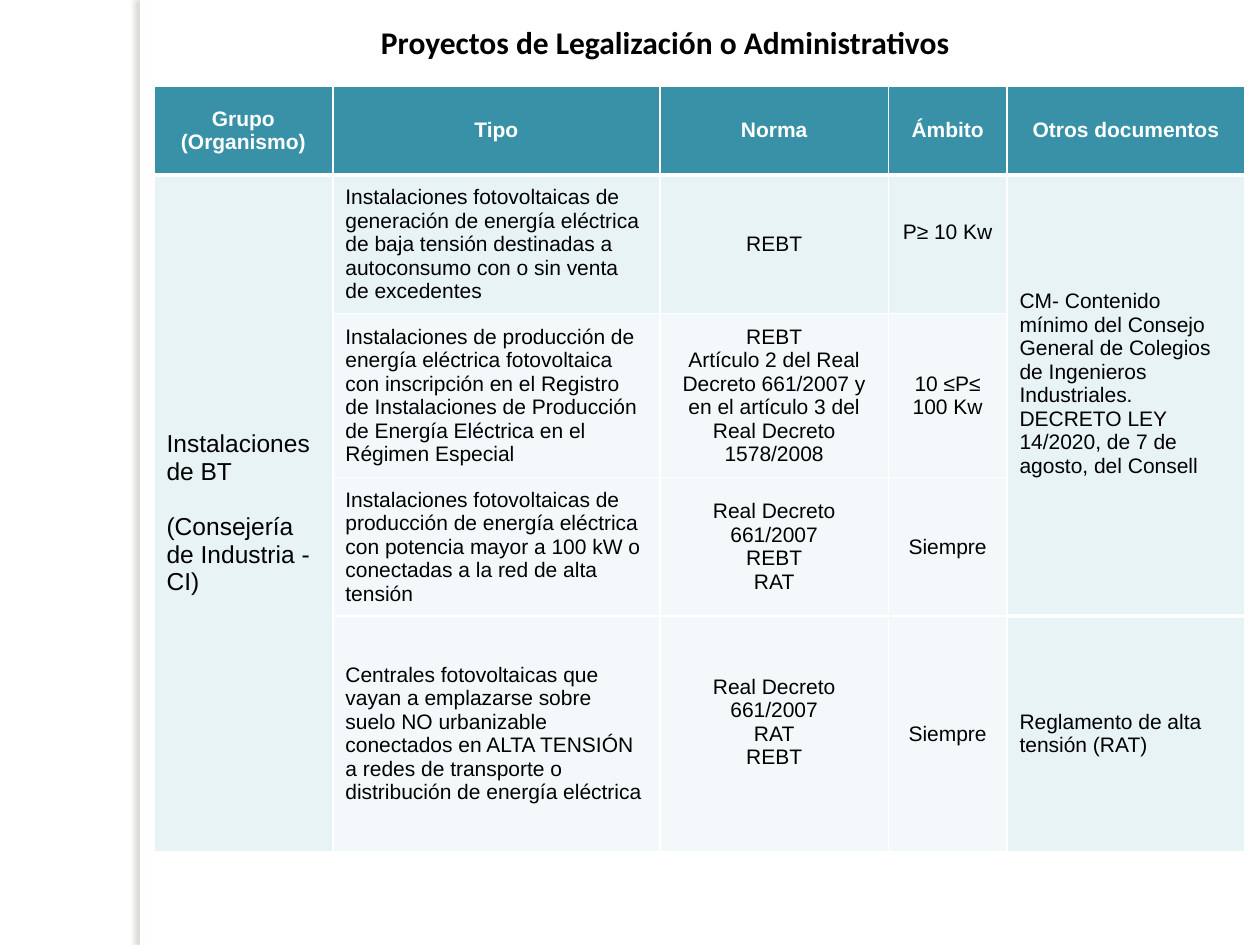
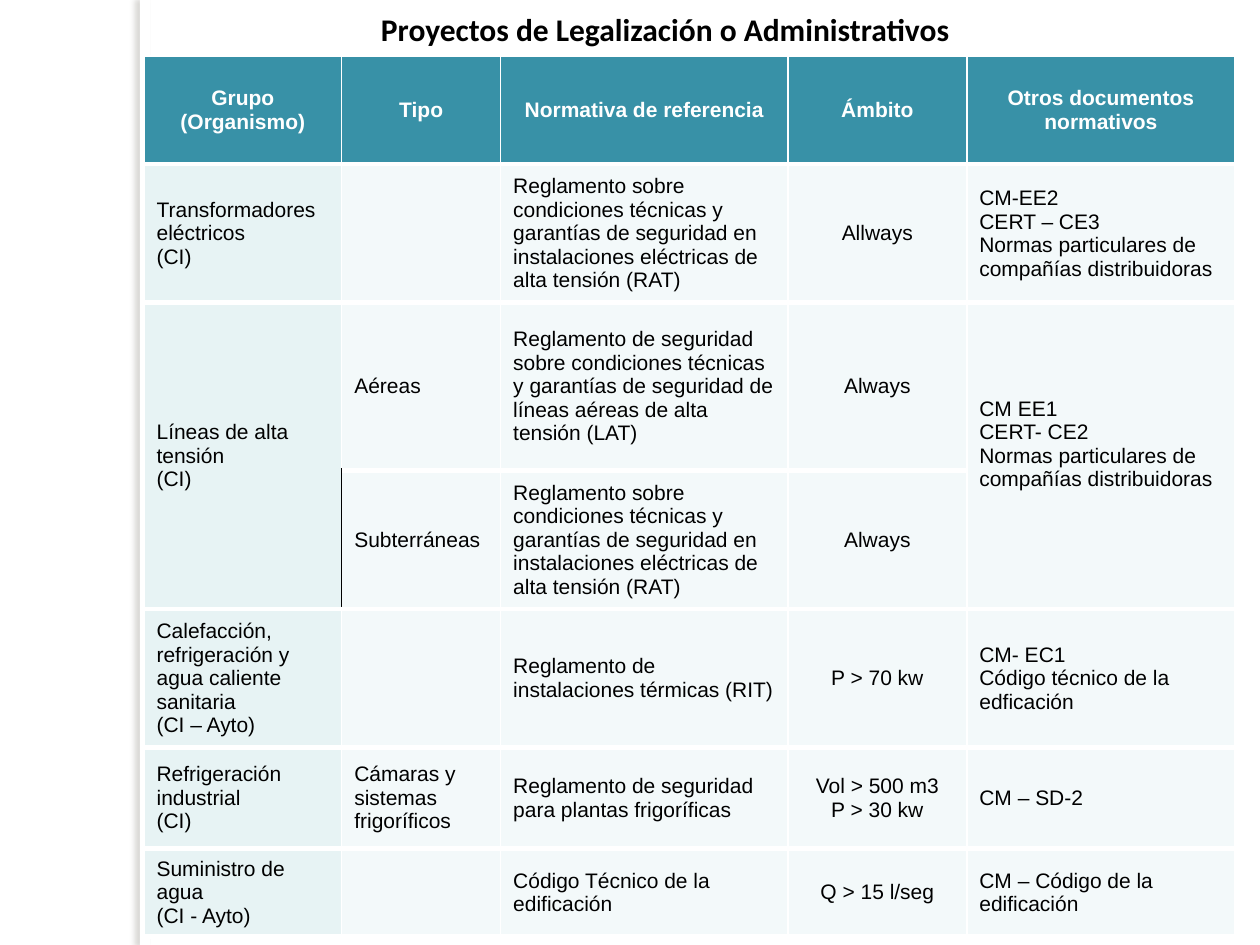
"""Builds two slides with tables of legalisation projects and their regulations."""
from lxml import etree
from pptx import Presentation
from pptx.dml.color import RGBColor
from pptx.enum.shapes import MSO_SHAPE as Shape
from pptx.enum.text import MSO_ANCHOR as Anchor, PP_ALIGN as Align
from pptx.oxml import parse_xml
from pptx.oxml.ns import nsdecls, qn
from pptx.util import Pt

WHITE, BLACK = "FFFFFF", "000000"
TEAL, TINT, PALE = "3891A7", "E7F3F4", "F3F9FA"
SHADE = "706B5F"
TITLE = "Proyectos de Legalización o Administrativos"
SHADOW = (
    f'<a:effectLst {nsdecls("a")}><a:outerShdw blurRad="{Pt(3)}" dist="{Pt(3)}" dir="10800000" '
    f'algn="tl" rotWithShape="0"><a:srgbClr val="{SHADE}"><a:alpha val="25000"/></a:srgbClr>'
    "</a:outerShdw></a:effectLst>"
)


def color(code):
    return RGBColor.from_string(code)


def write(frame, text, size=12, font="Arial", code=BLACK, bold=False, align=Align.LEFT, gap=0):
    frame.word_wrap = True
    for index, line in enumerate(text.split("\n")):
        paragraph = frame.paragraphs[0] if index == 0 else frame.add_paragraph()
        paragraph.alignment = align
        if index and gap:
            paragraph.space_before = Pt(gap)
        paragraph.font.size = Pt(size)
        run = paragraph.add_run()
        run.text = line
        run.font.name, run.font.size, run.font.bold = font, Pt(size), bold
        run.font.color.rgb = color(code)


legalization = {
    "title_top": 9.4,
    "left": 88,
    "top": 49,
    "columns": [102.2, 187, 130.5, 67.8, 136],
    "heights": [51, 79.2, 93.6, 79.2, 134.6],
    "merges": [(0, 1, 4), (4, 1, 3)],
    "centred": {2, 3},
    "tinted_rows": {1},
    "tinted_columns": {0, 4},
    "thick_edges": {(1, column) for column in range(5)} | {(4, 4)},
    "dark_edges": {},
    "raised": {(1, 3), (1, 4), (4, 2)},
    "large": {(1, 0)},
    "rows": [
        ["Grupo\n(Organismo)", "Tipo", "Norma", "Ámbito", "Otros documentos"],
        [
            "Instalaciones de BT\n(Consejería de Industria - CI)",
            "Instalaciones fotovoltaicas de generación de energía eléctrica de baja tensión "
            "destinadas a autoconsumo con o sin venta de excedentes",
            "REBT",
            "P≥ 10 Kw",
            "CM- Contenido mínimo del Consejo General de Colegios de Ingenieros Industriales.\n"
            "DECRETO LEY 14/2020, de 7 de agosto, del Consell",
        ],
        [
            "",
            "Instalaciones de producción de energía eléctrica fotovoltaica con inscripción en el "
            "Registro de Instalaciones de Producción de Energía Eléctrica en el Régimen Especial",
            "REBT\nArtículo 2 del Real Decreto 661/2007 y en el artículo 3 del "
            "Real Decreto 1578/2008",
            "10 ≤P≤ 100 Kw",
            "",
        ],
        [
            "",
            "Instalaciones fotovoltaicas de producción de energía eléctrica con potencia mayor "
            "a 100 kW o conectadas a la red de alta tensión",
            "Real Decreto 661/2007\nREBT\nRAT",
            "Siempre",
            "",
        ],
        [
            "",
            "Centrales fotovoltaicas que vayan a emplazarse sobre suelo NO urbanizable conectados "
            "en ALTA TENSIÓN a redes de transporte o distribución de energía eléctrica",
            "Real Decreto 661/2007\nRAT\nREBT",
            "Siempre",
            "Reglamento de alta tensión (RAT)",
        ],
    ],
}

RAT = (
    "Reglamento sobre condiciones técnicas y garantías de seguridad en instalaciones "
    "eléctricas de alta tensión (RAT)"
)
UTILITY_RULES = "Normas particulares de compañías distribuidoras"

installations = {
    "title_top": 2.2,
    "left": 82.3,
    "top": 31.9,
    "columns": [113, 90.8, 164.2, 102.2, 153.4],
    "heights": [61.9, 79.2, 95.8, 79.2, 79.2, 57.6, 50.4],
    "merges": [(0, 2, 3), (4, 2, 3)],
    "centred": {3},
    "tinted_rows": set(),
    "tinted_columns": {0},
    "thick_edges": {(row, column) for row in range(1, 8) for column in range(5)},
    "dark_edges": {(3, 0, "lnR"), (3, 1, "lnL")},
    "raised": {(2, 4)},
    "large": set(),
    "rows": [
        ["Grupo (Organismo)", "Tipo", "Normativa de referencia", "Ámbito",
         "Otros documentos normativos"],
        ["Transformadores eléctricos\n(CI)", "", RAT, "Allways",
         f"CM-EE2\nCERT – CE3\n{UTILITY_RULES}"],
        [
            "Líneas de alta tensión\n(CI)",
            "Aéreas",
            "Reglamento de seguridad sobre condiciones técnicas y garantías de seguridad de "
            "líneas aéreas de alta tensión (LAT)",
            "Always",
            f"CM EE1\nCERT- CE2\n{UTILITY_RULES}",
        ],
        ["", "Subterráneas", RAT, "Always", ""],
        ["Calefacción, refrigeración y agua caliente sanitaria\n(CI – Ayto)", "",
         "Reglamento de instalaciones térmicas (RIT)", "P > 70 kw",
         "CM- EC1\nCódigo técnico de la edficación"],
        ["Refrigeración industrial\n(CI)", "Cámaras y sistemas frigoríficos",
         "Reglamento de seguridad para plantas frigoríficas", "Vol > 500 m3\nP > 30 kw",
         "CM – SD-2"],
        ["Suministro de agua\n(CI - Ayto)", "", "Código Técnico de la edificación",
         "Q > 15 l/seg", "CM – Código de la edificación"],
    ],
}

presentation = Presentation()
presentation.slide_width, presentation.slide_height = Pt(720), Pt(540)

for content in (legalization, installations):
    slide = presentation.slides.add_slide(presentation.slide_layouts[6])
    slide.background.fill.solid()
    slide.background.fill.fore_color.rgb = color(WHITE)

    strip = slide.shapes.add_shape(Shape.RECTANGLE, Pt(80), 0, Pt(5.8), Pt(540))
    strip.fill.solid()
    strip.fill.fore_color.rgb = color(WHITE)
    strip.line.fill.background()
    strip._element.spPr.append(parse_xml(SHADOW))

    rows, columns, heights = content["rows"], content["columns"], content["heights"]
    table = slide.shapes.add_table(
        len(rows), len(columns), Pt(content["left"]), Pt(content["top"]),
        Pt(sum(columns)), Pt(sum(heights)),
    ).table
    table.horz_banding = False
    for table_column, width in zip(table.columns, columns):
        table_column.width = Pt(width)
    for table_row, height in zip(table.rows, heights):
        table_row.height = Pt(height)
    for column, first, last in content["merges"]:
        table.cell(first, column).merge(table.cell(last, column))

    for row, texts in enumerate(rows):
        for column, text in enumerate(texts):
            cell = table.cell(row, column)
            header = row == 0
            properties = cell._tc.get_or_add_tcPr()
            bottom_row = row + (cell.span_height if cell.is_merge_origin else 1)
            thick_top = (row, column) in content["thick_edges"]
            thick_bottom = (bottom_row, column) in content["thick_edges"]
            edges = {"lnL": 1, "lnR": 1, "lnT": 3 if thick_top else 1,
                     "lnB": 3 if thick_bottom else 1}
            for edge, width in edges.items():
                dark = (row, column, edge) in content["dark_edges"]
                line = etree.SubElement(properties, qn(f"a:{edge}"), w=str(Pt(width)))
                fill = etree.SubElement(line, qn("a:solidFill"))
                etree.SubElement(fill, qn("a:srgbClr"), val=BLACK if dark else WHITE)

            tinted = row in content["tinted_rows"] or column in content["tinted_columns"]
            cell.fill.solid()
            cell.fill.fore_color.rgb = color(TEAL if header else TINT if tinted else PALE)
            cell.vertical_anchor = Anchor.MIDDLE
            if (row, column) in content["raised"]:
                cell.margin_bottom = Pt(17)
            if text:
                large = (row, column) in content["large"]
                centred = header or column in content["centred"]
                write(cell.text_frame, text, size=14 if large else 12, bold=header,
                      code=WHITE if header else BLACK, gap=16 if large else 0,
                      align=Align.CENTER if centred else Align.LEFT)

    title = slide.shapes.add_textbox(Pt(99.4), Pt(content["title_top"]), Pt(561.6), Pt(29))
    write(title.text_frame, TITLE, size=18, font="Calibri", bold=True, align=Align.CENTER)

presentation.save("out.pptx")
